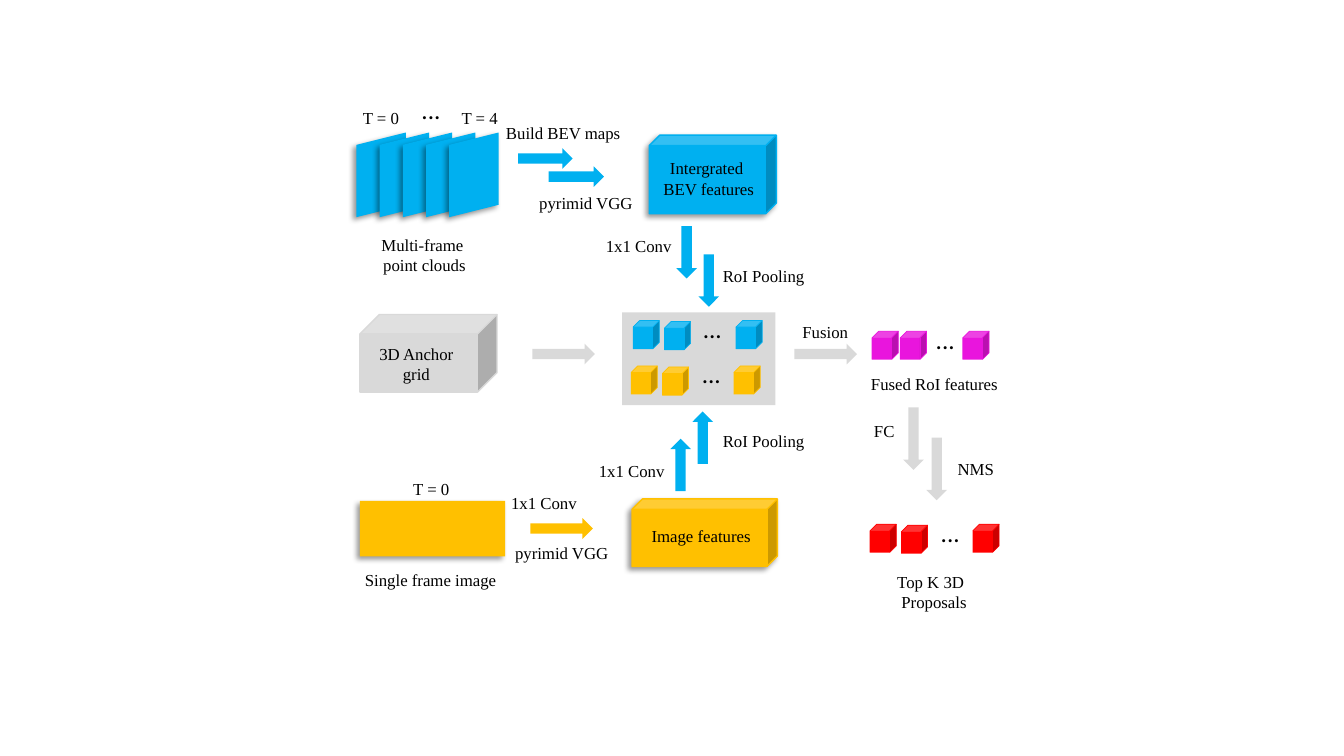
from dataclasses import dataclass

import pptx
import pptx.dml.color
import pptx.enum.shapes
import pptx.enum.text
import pptx.oxml
import pptx.oxml.ns
import pptx.util
from pptx.shapes.autoshape import Shape
from pptx.slide import Slide

COLOURS = {
    "blue": "00B0F0",
    "gold": "FFC000",
    "grey": "D9D9D9",
    "pink": "E915DD",
    "red": "FF0000",
    "ink": "000000",
}
CELL = pptx.util.Inches(0.1)
KINDS = pptx.enum.shapes.MSO_SHAPE
ALIGN = pptx.enum.text.PP_ALIGN


@dataclass
class Block:
    kind: KINDS
    column: float
    row: float
    columns: float
    rows: float
    colour: str
    outline: float = 0
    depth: float = 0.25
    shadow: bool = False
    rotation: int = 0
    flipped: bool = False


@dataclass
class Label:
    text: str
    column: float
    row: float
    columns: float
    rows: float = 3
    centred: bool = False
    size: int = 12
    font: str = "Times New Roman"
    fill: str = ""


@dataclass
class CubeRow:
    column: float
    row: float
    colour: str
    second: float = 3.1
    last: float = 10.2
    dots: float = 5.9
    drop: float = 0.1


def grid(cells: float) -> int:
    return round(cells * CELL)


def rgb(name: str) -> pptx.dml.color.RGBColor:
    return pptx.dml.color.RGBColor.from_string(COLOURS[name])


def cast_shadow(box: Shape) -> None:
    box.element.spPr.remove(box.element.spPr.find(pptx.oxml.ns.qn("a:effectLst")))
    box.element.spPr.append(pptx.oxml.parse_xml(
        f'<a:effectLst {pptx.oxml.ns.nsdecls("a")}>'
        '<a:outerShdw blurRad="50800" dist="38100" dir="8100000" algn="tr" rotWithShape="0">'
        f'<a:srgbClr val="{COLOURS["ink"]}"><a:alpha val="40000"/></a:srgbClr>'
        '</a:outerShdw></a:effectLst>'))


def draw_block(page: Slide, block: Block) -> None:
    box = page.shapes.add_shape(block.kind, grid(block.column), grid(block.row),
                                grid(block.columns), grid(block.rows))
    box.shadow.inherit = False
    box.fill.solid()
    box.fill.fore_color.rgb = rgb(block.colour)
    if block.outline:
        box.line.color.rgb = rgb(block.colour)
        box.line.width = pptx.util.Pt(block.outline)
    else:
        box.line.fill.background()
    if block.kind == KINDS.CUBE:
        box.adjustments[0] = block.depth
    box.rotation = block.rotation
    if block.flipped:
        box.element.spPr.xfrm.set("flipV", "1")
    if block.shadow:
        cast_shadow(box)


def draw_label(page: Slide, label: Label) -> None:
    box = page.shapes.add_textbox(grid(label.column), grid(label.row),
                                  grid(label.columns), grid(label.rows))
    if label.fill:
        box.fill.solid()
        box.fill.fore_color.rgb = rgb(label.fill)
    frame = box.text_frame
    frame.text = label.text
    frame.word_wrap = False
    frame.auto_size = pptx.enum.text.MSO_AUTO_SIZE.SHAPE_TO_FIT_TEXT
    for para in frame.paragraphs:
        para.alignment = ALIGN.CENTER if label.centred else ALIGN.LEFT
        for span in para.runs:
            span.font.name = label.font
            span.font.size = pptx.util.Pt(label.size)
            span.font.color.rgb = rgb("ink")


def draw_dots(page: Slide, column: float, row: float) -> None:
    draw_label(page, Label("...", column, row, 4.1, 4, True, 18, "Calibri"))


def draw_cube_row(page: Slide, cubes: CubeRow) -> None:
    for offset, drop in ((0, 0), (cubes.second, cubes.drop), (cubes.last, 0)):
        draw_block(page, Block(KINDS.CUBE, cubes.column + offset, cubes.row + drop,
                               2.6, 2.8, cubes.colour, outline=0.5))
    draw_dots(page, cubes.column + cubes.dots, cubes.row - 1.2)


def arrow(column: float, row: float, length: float, colour: str, rotation: int = 0) -> Block:
    return Block(KINDS.RIGHT_ARROW, column, row, length, 2.05, colour, rotation=rotation)


FRAMES = [Block(KINDS.PARALLELOGRAM, 33.6 + 2.3 * step, 14.9, 8.4, 4.9, "blue",
                shadow=True, rotation=90, flipped=True) for step in range(5)]

BLOCKS = FRAMES + [
    Block(KINDS.RECTANGLE, 35.7, 49.7, 14.4, 5.5, "gold", shadow=True),
    Block(KINDS.CUBE, 64.4, 13.4, 12.6, 7.8, "blue", 1, 0.134, True),
    Block(KINDS.CUBE, 62.7, 49.5, 14.4, 6.7, "gold", 1, 0.153, True),
    Block(KINDS.CUBE, 35.7, 31.2, 13.6, 7.7, "grey", 1),
    Block(KINDS.RECTANGLE, 61.7, 31, 15.2, 9.2, "grey"),
    arrow(51.4, 14.7, 5.4, "blue"),
    arrow(54.4, 16.5, 5.5, "blue"),
    arrow(52.6, 51.4, 6.2, "gold"),
    arrow(52.8, 34.1, 6.2, "grey"),
    arrow(78.8, 34.1, 6.2, "grey"),
    arrow(87.5, 42.5, 6.2, "grey", 90),
    arrow(89.8, 45.5, 6.2, "grey", 90),
    arrow(65.5, 24, 5.2, "blue", 90),
    arrow(67.7, 26.8, 5.2, "blue", 90),
    arrow(64.9, 45.1, 5.2, "blue", 270),
    arrow(67.1, 42.4, 5.2, "blue", 270),
]

CUBE_ROWS = [
    CubeRow(62.8, 31.8, "blue", dots=5.8),
    CubeRow(62.6, 36.3, "gold"),
    CubeRow(86.5, 32.85, "pink", 2.8, 9, 5.2, 0),
    CubeRow(86.3, 52, "red"),
]

LABELS = [
    Label("T = 0", 35, 10.2, 5.6),
    Label("T = 4", 44.8, 10.2, 5.6),
    Label("T = 0", 40, 47, 5.6),
    Label("Multi-frame\n point clouds", 36.6, 22.8, 10.6, 5, True),
    Label("Single frame image", 35.2, 56, 15.1),
    Label("Build BEV maps", 49.2, 11.7, 13.4),
    Label("pyrimid VGG", 52.5, 18.6, 11.3),
    Label("pyrimid VGG", 50.1, 53.4, 11.3),
    Label("Intergrated \nBEV features", 64.8, 15.2, 11, 5, True),
    Label("Image features", 63.6, 51.7, 11.9, centred=True),
    Label("3D Anchor\ngrid", 36.6, 33.6, 9.4, 5, True, fill="grey"),
    Label("1x1 Conv", 59.1, 22.9, 8.5),
    Label("1x1 Conv", 58.4, 45.2, 8.5),
    Label("1x1 Conv", 49.7, 48.4, 8.5),
    Label("RoI Pooling", 70.7, 25.9, 10.1),
    Label("RoI Pooling", 70.7, 42.2, 10.1),
    Label("Fusion", 78.6, 31.4, 6.8),
    Label("Fused RoI features", 85.4, 36.6, 14.6),
    Label("FC", 85.7, 41.2, 4.4),
    Label("NMS", 94, 45, 5.7),
    Label("Top K 3D\n Proposals", 88, 56.2, 8.9, 5),
]


def main() -> None:
    deck = pptx.Presentation()
    deck.slide_width = pptx.util.Inches(13.33)
    deck.slide_height = pptx.util.Inches(7.5)
    page = deck.slides.add_slide(deck.slide_layouts.get_by_name("Blank"))
    for block in BLOCKS:
        draw_block(page, block)
    for cubes in CUBE_ROWS:
        draw_cube_row(page, cubes)
    draw_dots(page, 40.7, 8.9)
    for label in LABELS:
        draw_label(page, label)
    deck.save("out.pptx")


main()
